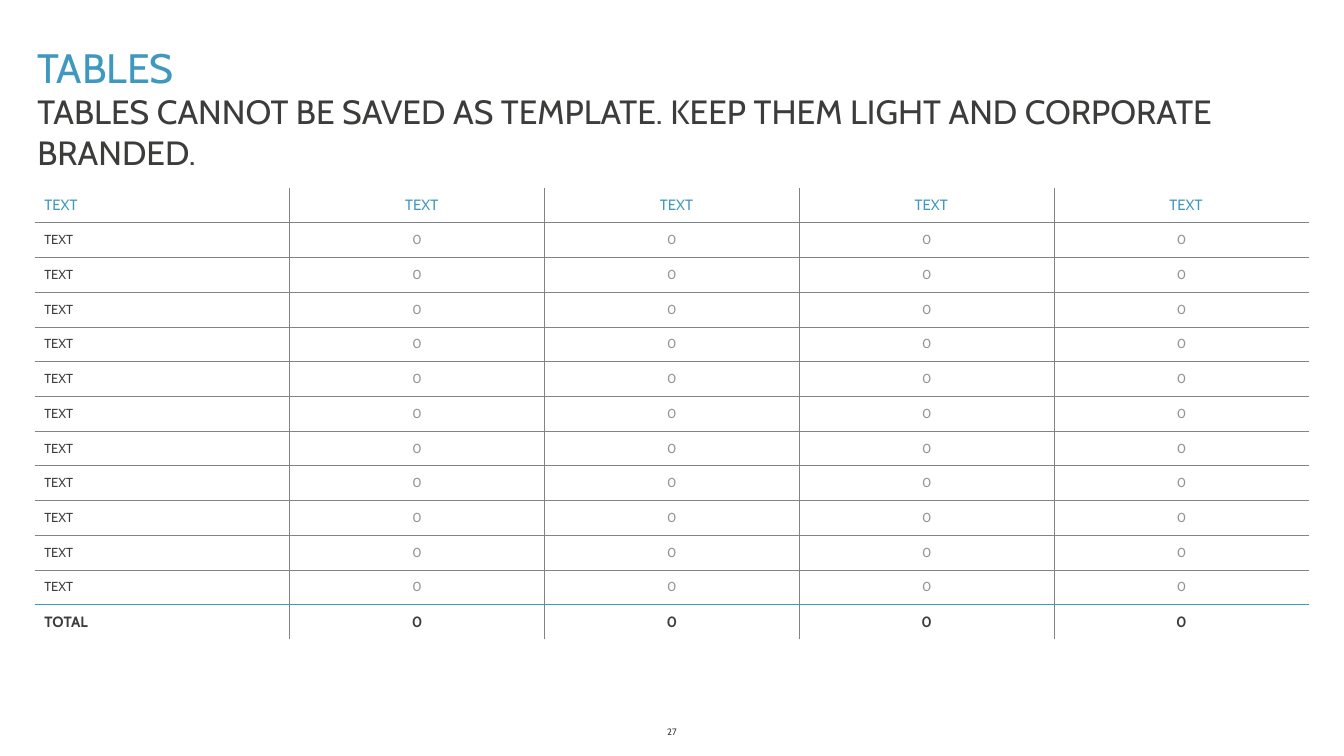
from lxml import etree
from pptx import Presentation
from pptx.dml.color import RGBColor
from pptx.enum.text import MSO_ANCHOR, PP_ALIGN
from pptx.oxml.ns import qn
from pptx.util import Inches, Pt

LEFT, CENTER = PP_ALIGN.LEFT, PP_ALIGN.CENTER
TOP, MIDDLE, BOTTOM = MSO_ANCHOR.TOP, MSO_ANCHOR.MIDDLE, MSO_ANCHOR.BOTTOM
FONT = "Cabin"
COLORS = {"blue": "3F98BD", "dark": "3C3C3B", "gray": "929497", "rule": "818386"}

# Content: text, box (left, top, width, height), size, colour, alignment, anchor
TEXTS = [
    ("TABLES", (0.18, 0.26, 9.57, 0.47), 22, "blue", LEFT, BOTTOM),
    ("27", (4.53, 5.35, 0.94, 0.19), 5, "dark", CENTER, MIDDLE),
    ("TABLES CANNOT BE SAVED AS TEMPLATE. KEEP THEM LIGHT AND CORPORATE BRANDED.",
     (0.18, 0.63, 9.57, 0.71), 18, "dark", LEFT, TOP),
]
HEADER = ["TEXT"] * 5
BODY = [["TEXT"] + ["0"] * 4 for _ in range(11)]
TOTAL = ["TOTAL"] + ["0"] * 4
ROWS = [HEADER, *BODY, TOTAL]
TABLE_BOX = (0.26, 1.4, 9.48, 3.36)


def style(p, size, color, align, bold=False):
    p.alignment = align
    p.font.name = FONT
    p.font.size = Pt(size)
    p.font.bold = bold
    p.font.color.rgb = RGBColor.from_string(COLORS[color])


def add_text(slide, text, box, size, color, align, anchor):
    tf = slide.shapes.add_textbox(*map(Inches, box)).text_frame
    tf.word_wrap = True
    tf.vertical_anchor = anchor
    p = tf.paragraphs[0]
    p.text = text
    style(p, size, color, align)


def set_border(cell, side, color):
    """Draw a thin rule on one side, or none when color is None."""
    ln = etree.SubElement(cell._tc.get_or_add_tcPr(), qn(f"a:ln{side}"), w=str(Pt(0.5)))
    if color is None:
        etree.SubElement(ln, qn("a:noFill"))
    else:
        fill = etree.SubElement(ln, qn("a:solidFill"))
        etree.SubElement(fill, qn("a:srgbClr"), val=COLORS[color])


def cell_font(row, col):
    """Size, colour and weight by the role of the cell."""
    if row == 0:
        return 8, "blue", False
    if row == len(ROWS) - 1:
        return 8, "dark", True
    return 7, "gray" if col else "dark", False


def row_rule(edge):
    """Colour of the horizontal rule above row number edge."""
    if edge in (0, len(ROWS)):
        return None
    return "blue" if edge == len(ROWS) - 1 else "rule"


def col_rule(edge):
    return None if edge in (0, len(HEADER)) else "rule"


# Widescreen slide, 16:9
prs = Presentation()
prs.slide_width = Inches(10)
prs.slide_height = prs.slide_width * 9 // 16
slide = prs.slides.add_slide(prs.slide_layouts[6])

# Title, page number and subtitle
for item in TEXTS:
    add_text(slide, *item)

# Table
table = slide.shapes.add_table(len(ROWS), len(HEADER), *map(Inches, TABLE_BOX)).table
table.first_row = table.horz_banding = False
for i, row in enumerate(ROWS):
    for j, text in enumerate(row):
        cell = table.cell(i, j)
        cell.text = text
        cell.vertical_anchor = MIDDLE
        cell.margin_left = Inches(0.07 if i == 0 or j == 0 else 0)
        cell.margin_right = 0
        cell.margin_top = cell.margin_bottom = Inches(0.03)
        size, color, bold = cell_font(i, j)
        style(cell.text_frame.paragraphs[0], size, color, CENTER if j else LEFT, bold)
        set_border(cell, "L", col_rule(j))
        set_border(cell, "R", col_rule(j + 1))
        set_border(cell, "T", row_rule(i))
        set_border(cell, "B", row_rule(i + 1))
        cell.fill.background()

prs.save("out.pptx")
